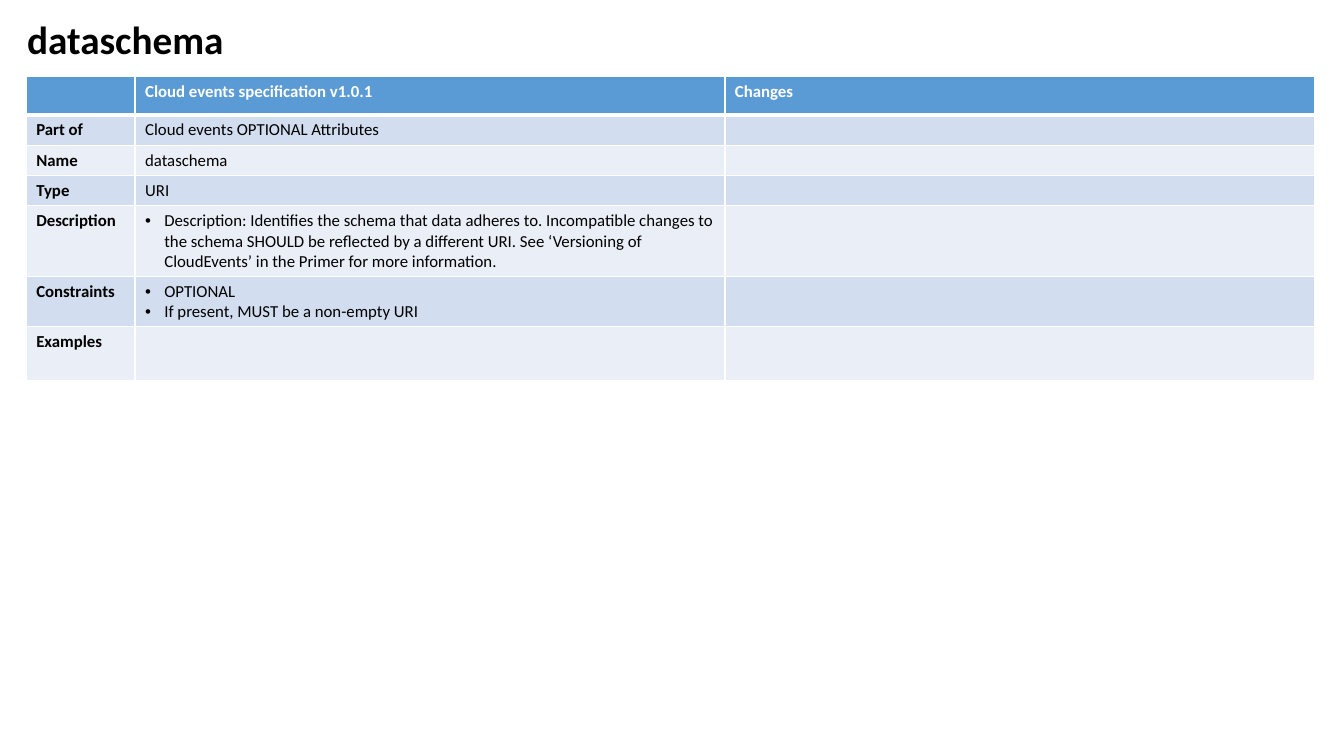
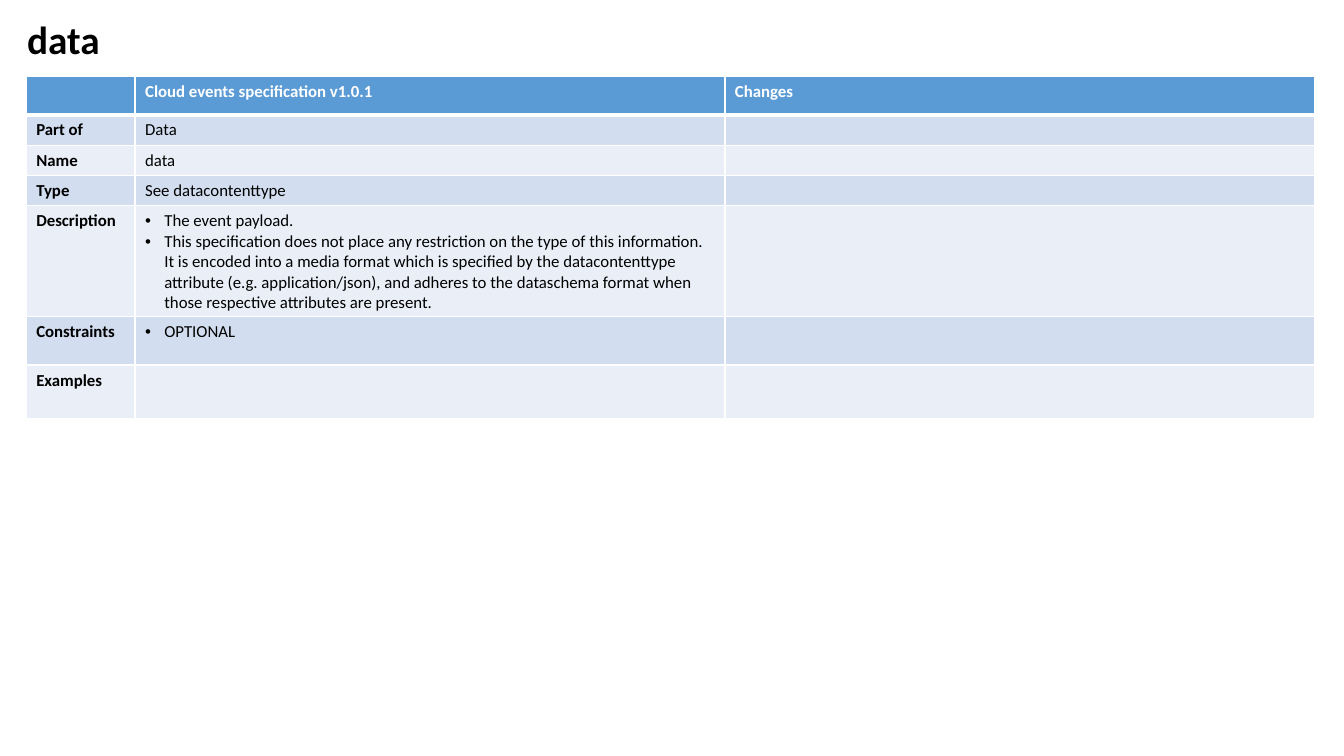
from lxml.etree import SubElement as Sub
from pptx import Presentation
from pptx.dml.color import RGBColor as RGB
from pptx.enum.text import MSO_ANCHOR as Anchor
from pptx.oxml.ns import qn
from pptx.util import Pt

# Shared style: 100 px to the inch
PX = 9144
FONT = "Calibri"
BLACK = RGB(0x00, 0x00, 0x00)
WHITE = RGB(0xFF, 0xFF, 0xFF)
BLUE = RGB(0x5B, 0x9B, 0xD5)
BANDS = (RGB(0xD2, 0xDE, 0xEF), RGB(0xEA, 0xEF, 0xF7))

COLS = (108, 585, 585)
ROWS = (38, 28, 28, 28, 68, 48, 53)
HEAD = ("", "Cloud events specification v1.0.1", "Changes")
LABELS = ("Part of", "Name", "Type", "Description", "Constraints", "Examples")

# A list is bulleted, a string is plain text
SLIDES = {
    "dataschema": (
        "Cloud events OPTIONAL Attributes",
        "dataschema",
        "URI",
        ["Description: Identifies the schema that data adheres to. "
         "Incompatible changes to the schema SHOULD be reflected by a "
         "different URI. See ‘Versioning of CloudEvents’ in the Primer "
         "for more information."],
        ["OPTIONAL", "If present, MUST be a non-empty URI"],
        "",
    ),
    "data": (
        "Data",
        "data",
        "See datacontenttype",
        ["The event payload.",
         "This specification does not place any restriction on the type of "
         "this information. It is encoded into a media format which is "
         "specified by the datacontenttype attribute (e.g. "
         "application/json), and adheres to the dataschema format when "
         "those respective attributes are present."],
        ["OPTIONAL"],
        "",
    ),
}


def px(*vals):
    return [val * PX for val in vals]


def add_run(para, text, size, color, bold):
    run = para.add_run()
    run.text = text
    font = run.font
    font.name, font.size, font.bold = FONT, Pt(size), bold
    font.color.rgb = color


def add_title(slide, text):
    box = slide.shapes.add_textbox(*px(17, 7, 595, 69))
    frame = box.text_frame
    frame.word_wrap = True
    frame.vertical_anchor = Anchor.MIDDLE
    para = frame.paragraphs[0]
    para.line_spacing = 0.9
    add_run(para, text, 28, BLACK, True)


def add_bullet(para):
    props = para._p.get_or_add_pPr()
    props.set("marL", str(19 * PX))
    props.set("indent", str(-19 * PX))
    Sub(props, qn("a:buFont"), typeface="Arial")
    Sub(props, qn("a:buChar"), char="•")


def set_edges(cell, top, base):
    props = cell._tc.get_or_add_tcPr()
    for side, width in (("L", 1), ("R", 1), ("T", top), ("B", base)):
        line = Sub(props, qn(f"a:ln{side}"), w=str(Pt(width)))
        fill = Sub(line, qn("a:solidFill"))
        Sub(fill, qn("a:srgbClr"), val=str(WHITE))


def fill_cell(cell, content, color, bold):
    bullets = isinstance(content, list)
    frame = cell.text_frame
    for num, text in enumerate(content if bullets else [content]):
        para = frame.add_paragraph() if num else frame.paragraphs[0]
        if bullets:
            add_bullet(para)
        if text:
            add_run(para, text, 12, color, bold)
        else:
            # Keeps an empty cell from growing its row
            Sub(para._p, qn("a:endParaRPr"), sz="1200")


def add_grid(slide, values):
    data = [HEAD] + [(label, value, "") for label, value in zip(LABELS, values)]
    size = px(26, 76, sum(COLS), sum(ROWS))
    table = slide.shapes.add_table(len(ROWS), len(COLS), *size).table
    table.horz_banding = False
    for col, width in zip(table.columns, px(*COLS)):
        col.width = width
    for row, height in zip(table.rows, px(*ROWS)):
        row.height = height
    for r, line in enumerate(data):
        head = r == 0
        for c, content in enumerate(line):
            cell = table.cell(r, c)
            # The rule below the header is thicker
            set_edges(cell, 3 if r == 1 else 1, 3 if head else 1)
            cell.fill.solid()
            cell.fill.fore_color.rgb = BLUE if head else BANDS[(r - 1) % 2]
            fill_cell(cell, content, WHITE if head else BLACK, head or c == 0)


def main():
    deck = Presentation()
    deck.slide_width, deck.slide_height = px(1333, 750)
    for title, values in SLIDES.items():
        slide = deck.slides.add_slide(deck.slide_layouts[6])
        add_title(slide, title)
        add_grid(slide, values)
    deck.save("out.pptx")


if __name__ == "__main__":
    main()
